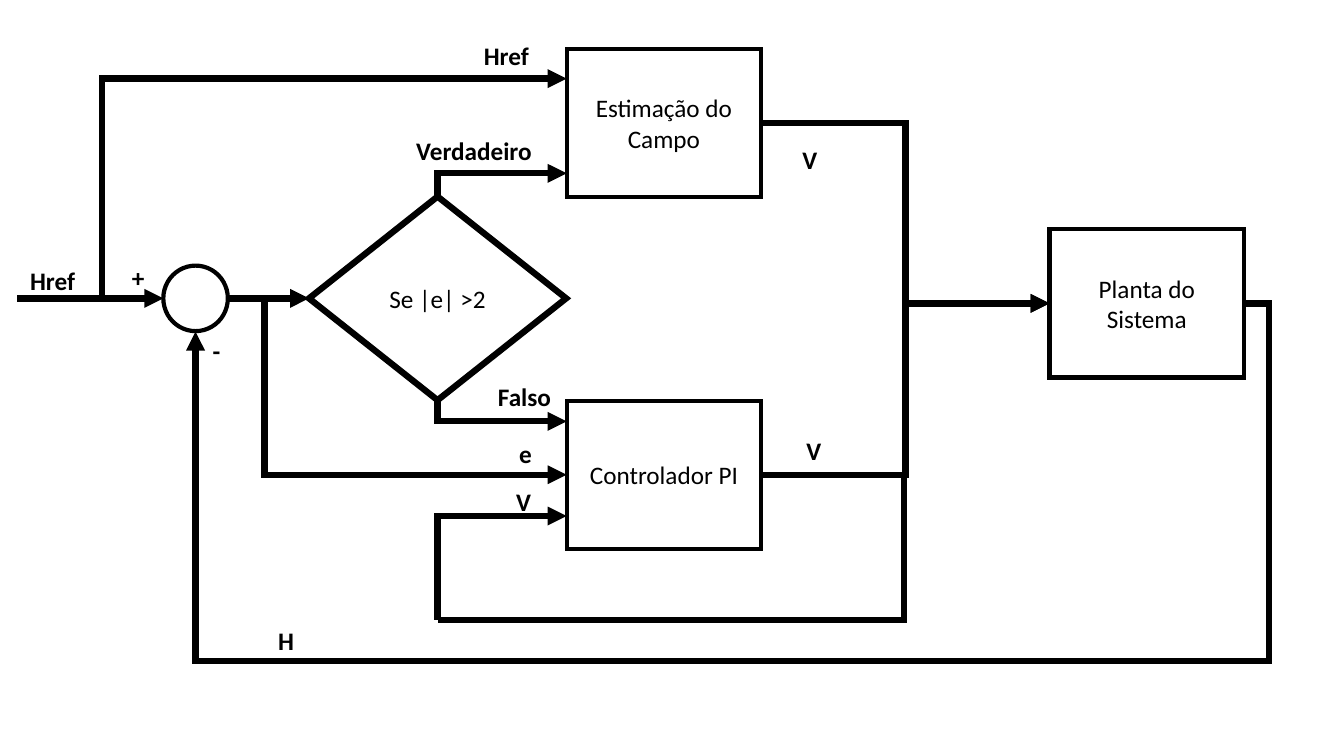
from dataclasses import dataclass

from lxml.etree import SubElement
from pptx import Presentation
from pptx.dml.color import RGBColor
from pptx.enum.shapes import MSO_CONNECTOR as Link, MSO_SHAPE as Form
from pptx.enum.text import MSO_ANCHOR, MSO_AUTO_SIZE, PP_ALIGN
from pptx.oxml.ns import qn
from pptx.util import Inches, Pt


@dataclass(frozen=True)
class Theme:
    ink: RGBColor = RGBColor(0, 0, 0)
    paper: RGBColor = RGBColor(255, 255, 255)
    font: str = "Calibri"
    size: float = 18
    outline: float = 3
    signal: float = 4.5


THEME = Theme()
SLIDE = (13.33, 7.5)
BLOCK = (1.93, 1.47)
LABEL_HEIGHT = 0.4

# Columns and rows of the diagram, in inches
COL = {"input": 0.17, "branch": 1.01, "sum": 1.94, "sum_left": 1.62, "sum_right": 2.25,
       "error": 2.51, "test_left": 3.07, "test": 4.34, "block": 5.62, "bus": 8.97,
       "plant": 10.41, "plant_right": 12.34}
ROW = {"reference": 0.78, "true": 1.72, "estimate": 1.22, "test_top": 1.95,
       "main": 2.96, "plant": 3.01, "sum_bottom": 3.29, "test_bottom": 3.97,
       "false": 4.18, "pi": 4.71, "voltage": 5.12, "return": 6.15}

# name: (text, form, centre column, centre row, size, outline)
half_block = BLOCK[0] / 2
NODES = {
    "estimate": ("Estimação do Campo", Form.RECTANGLE, COL["block"] + half_block,
                 ROW["estimate"], BLOCK, THEME.outline),
    "plant": ("Planta do Sistema", Form.RECTANGLE, COL["plant"] + half_block,
              ROW["plant"], BLOCK, THEME.outline),
    "pi": ("Controlador PI", Form.RECTANGLE, COL["block"] + half_block,
           ROW["pi"], BLOCK, THEME.outline),
    "sum": ("", Form.OVAL, COL["sum"], ROW["main"], (0.64, 0.65), THEME.outline),
    "test": ("Se |e| >2", Form.DIAMOND, COL["test"], ROW["main"], (2.55, 2.02),
             THEME.signal),
}

# (from, to, bend shares or None for a straight line, arrow, start joint, end joint)
SIGNALS = [
    (("input", "main"), ("sum_left", "main"), None, True, None, None),
    (("sum_right", "main"), ("test_left", "main"), None, True, None, ("test", 1)),
    (("plant_right", "plant"), ("sum", "sum_bottom"), (-0.024, 12.0), True, None, None),
    (("test", "test_top"), ("block", "true"), (0,), True, None, None),
    (("test", "test_bottom"), ("block", "false"), (0,), True, None, None),
    (("block", "estimate"), ("plant", "plant"), (0.5,), True, ("estimate", 3), ("plant", 1)),
    (("block", "pi"), ("plant", "plant"), (0.5,), True, ("pi", 3), ("plant", 1)),
    (("branch", "main"), ("block", "reference"), (0,), True, None, None),
    (("error", "main"), ("block", "pi"), (0.037,), True, None, None),
    (("bus", "pi"), ("test", "return"), (0,), False, None, None),
    (("test", "return"), ("block", "voltage"), (0,), True, None, None),
]
RETURN_DEPTH = 6.56  # row of the outer feedback line

# (text, left, top, width)
LABELS = [
    ("Href", 4.7, 0.35, 0.65), ("Href", 0.2, 2.58, 0.65), ("H", 2.66, 6.15, 0.36),
    ("-", 2.01, 3.28, 0.28), ("+", 1.21, 2.55, 0.33), ("V", 7.9, 4.27, 0.35),
    ("V", 7.86, 1.38, 0.35), ("Verdadeiro", 4.03, 1.29, 1.35),
    ("Falso", 4.84, 3.73, 0.73), ("e", 5.05, 4.3, 0.33), ("V", 5.02, 4.78, 0.35),
]


def write(frame, text, bold, align):
    paragraph = frame.paragraphs[0]
    paragraph.alignment = align
    run = paragraph.add_run()
    run.text = text
    run.font.color.rgb = THEME.ink
    for key, value in {"name": THEME.font, "size": Pt(THEME.size), "bold": bold}.items():
        setattr(run.font, key, value)


def ink_line(shape, width):
    """Draw the line in ink with sharp corners and return its XML element."""
    shape.line.color.rgb = THEME.ink
    shape.line.width = Pt(width)
    stroke = shape.line._get_or_add_ln()
    SubElement(stroke, qn("a:miter"), lim="800000")
    return stroke


def add_node(slide, text, form, x, y, size, outline):
    width, height = size
    node = slide.shapes.add_shape(form, Inches(x - width / 2), Inches(y - height / 2),
                                  Inches(width), Inches(height))
    node.shadow.inherit = False
    node.fill.solid()
    node.fill.fore_color.rgb = THEME.paper
    ink_line(node, outline)
    if text:
        node.text_frame.vertical_anchor = MSO_ANCHOR.MIDDLE
        write(node.text_frame, text, False, PP_ALIGN.CENTER)
    return node


def add_signal(slide, nodes, start, end, bends, arrow, start_joint, end_joint):
    (x1, y1), (x2, y2) = [(COL[column], ROW[row]) for column, row in (start, end)]
    signal = slide.shapes.add_connector(Link.ELBOW if bends else Link.STRAIGHT,
                                        *map(Inches, (x1, y1, x2, y2)))
    if start_joint:
        signal.begin_connect(nodes[start_joint[0]], start_joint[1])
    if end_joint:
        signal.end_connect(nodes[end_joint[0]], end_joint[1])
    properties = signal._element.spPr
    if bends:
        geometry = properties.find(qn("a:prstGeom"))
        if len(bends) == 2:
            geometry.set("prst", "bentConnector4")
            bends = (bends[0], (RETURN_DEPTH - y1) / (y2 - y1))
        guides = geometry.find(qn("a:avLst"))
        for number, share in enumerate(bends, 1):
            SubElement(guides, qn("a:gd"), name=f"adj{number}",
                       fmla=f"val {round(share * 100000)}")
    stroke = ink_line(signal, THEME.signal)
    if arrow:
        SubElement(stroke, qn("a:tailEnd"), type="triangle")
    SubElement(properties, qn("a:effectLst"))


def add_label(slide, text, left, top, width):
    label = slide.shapes.add_textbox(*map(Inches, (left, top, width, LABEL_HEIGHT)))
    label.text_frame.word_wrap = False
    label.text_frame.auto_size = MSO_AUTO_SIZE.SHAPE_TO_FIT_TEXT
    write(label.text_frame, text, True, PP_ALIGN.LEFT)


def main():
    deck = Presentation()
    deck.slide_width, deck.slide_height = map(Inches, SLIDE)
    slide = deck.slides.add_slide(deck.slide_layouts[6])
    nodes = {name: add_node(slide, *node) for name, node in NODES.items()}
    for signal in SIGNALS:
        add_signal(slide, nodes, *signal)
    for label in LABELS:
        add_label(slide, *label)
    deck.save("out.pptx")


if __name__ == "__main__":
    main()
